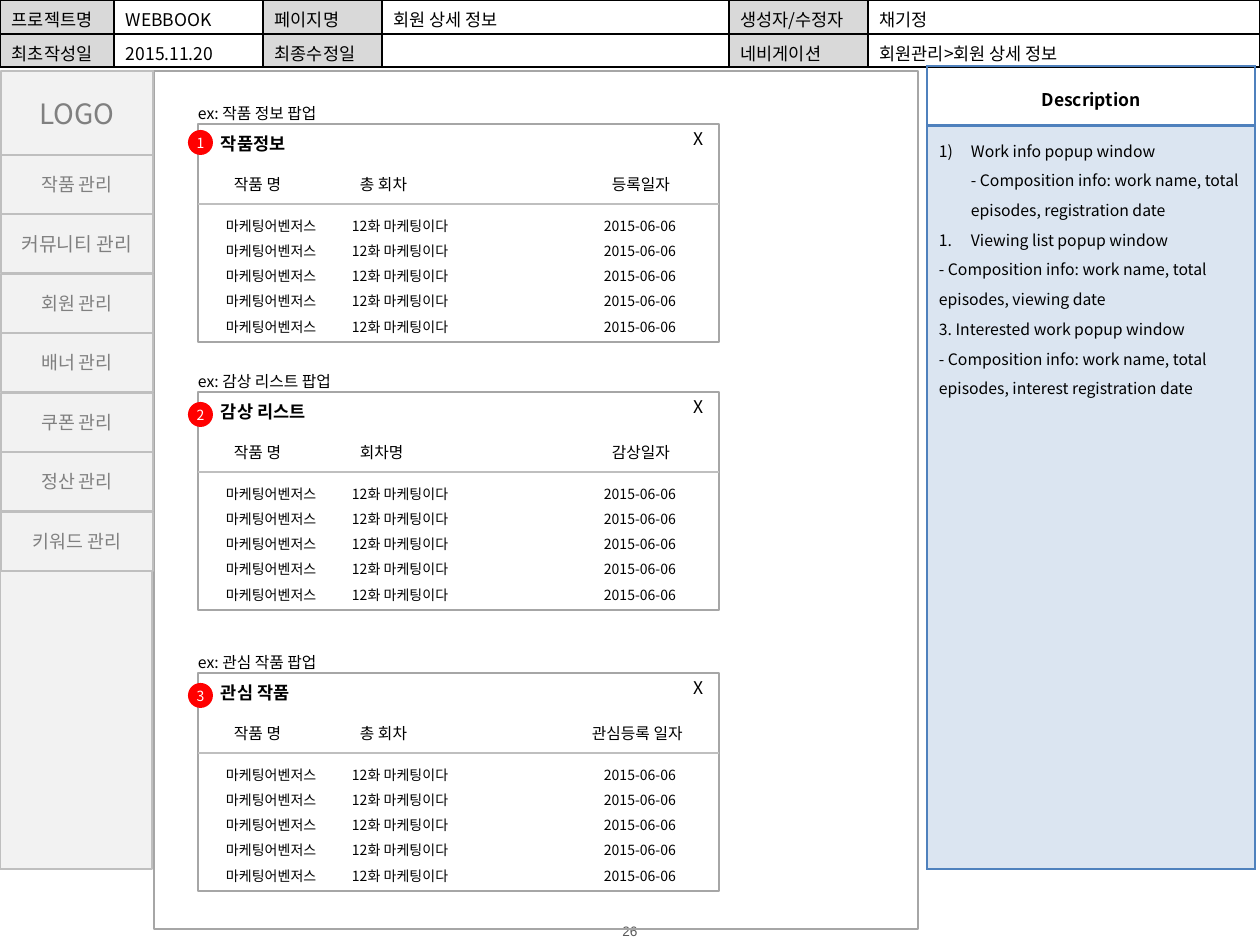
from typing import NamedTuple, Optional

from lxml.etree import SubElement
from pptx import Presentation
from pptx.dml.color import RGBColor
from pptx.enum.shapes import MSO_CONNECTOR, MSO_SHAPE
from pptx.enum.text import MSO_ANCHOR, PP_ALIGN
from pptx.oxml.ns import qn
from pptx.util import Emu, Pt

BLACK = RGBColor(0x00, 0x00, 0x00)
WHITE = RGBColor(0xFF, 0xFF, 0xFF)
RED = RGBColor(0xFF, 0x00, 0x00)
BLUE = RGBColor(0x4F, 0x81, 0xBD)
DARK = RGBColor(0x59, 0x59, 0x59)
GRAY = RGBColor(0x80, 0x80, 0x80)
EDGE = RGBColor(0xA6, 0xA6, 0xA6)
RULE = RGBColor(0xBF, 0xBF, 0xBF)
HEAD = RGBColor(0xD9, 0xD9, 0xD9)
PALE = RGBColor(0xF2, 0xF2, 0xF2)
FACE = "Noto Sans CJK KR"
SCALE = 914400 / 126


class Area(NamedTuple):
    left: int
    top: int
    width: int
    height: int


class Style(NamedTuple):
    size: float = 10
    color: RGBColor = BLACK
    bold: bool = False
    face: str = FACE
    align: PP_ALIGN = PP_ALIGN.LEFT
    space: float = 1.0
    tabs: tuple = ()


class Note(NamedTuple):
    text: str
    mark: str = ""


class Popup(NamedTuple):
    top: int
    badge: int
    title: str
    heads: str
    stop: int = 378


POPUPS = [
    Popup(124, 6, "작품정보", "작품 명\t총 회차\t등록일자"),
    Popup(392, 10, "감상 리스트", "작품 명\t회차명\t감상일자"),
    Popup(673, 10, "관심 작품", "작품 명\t총 회차\t관심등록 일자", 358),
]
LABELS = ["작품 정보", "감상 리스트", "관심 작품"]
ENTRY = "마케팅어벤저스\t12화 마케팅이다\t2015-06-06"
MENU = ["작품 관리", "커뮤니티 관리", "회원 관리", "배너 관리", "쿠폰 관리", "정산 관리", "키워드 관리"]
INFO = [
    ["프로젝트명", "WEBBOOK", "페이지명", "회원 상세 정보", "생성자/수정자", "채기정"],
    ["최초작성일", "2015.11.20", "최종수정일", "", "네비게이션", "회원관리>회원 상세 정보"],
]
NOTES = [
    Note("Work info popup window \v- Composition info: work name, total episodes, registration date", "arabicParenR"),
    Note("Viewing list popup window", "arabicPeriod"),
    Note("- Composition info: work name, total episodes, viewing date"),
    Note("3. Interested work popup window"),
    Note("- Composition info: work name, total episodes, interest registration date"),
]


def px(count: int) -> Emu:
    return Emu(round(count * SCALE))


def write(frame, notes: list[Note], style: Style) -> None:
    for i, note in enumerate(notes):
        para = frame.paragraphs[0] if i == 0 else frame.add_paragraph()
        para.text = note.text
        para.alignment = style.align
        para.line_spacing = style.space
        props = para._p.get_or_add_pPr()
        if note.mark:
            props.set("marL", str(px(32)))
            props.set("indent", str(-px(32)))
            SubElement(props, qn("a:buAutoNum"), type=note.mark)
        if style.tabs:
            stops = SubElement(props, qn("a:tabLst"))
            for stop in style.tabs:
                SubElement(stops, qn("a:tab"), pos=str(px(stop)), algn="l")
        if not note.text:
            SubElement(para._p, qn("a:endParaRPr"), sz=str(int(style.size * 100)))
        for run in para.runs:
            looks = {"size": Pt(style.size), "bold": style.bold, "name": style.face}
            for name, value in looks.items():
                setattr(run.font, name, value)
            run.font.color.rgb = style.color
            SubElement(run.font._rPr, qn("a:ea"), typeface=style.face)


def place(frame, side: int, top: int, anchor: MSO_ANCHOR) -> None:
    looks = {
        "margin_left": px(side), "margin_right": px(side),
        "margin_top": px(top), "margin_bottom": px(min(top, 3)),
        "vertical_anchor": anchor, "word_wrap": True,
    }
    for name, value in looks.items():
        setattr(frame, name, value)


def shape(slide, area: Area, fill: Optional[RGBColor] = None, line: Optional[RGBColor] = None,
          text: str = "", style: Style = Style(), kind=MSO_SHAPE.RECTANGLE, weight: float = 1) -> None:
    item = slide.shapes.add_shape(kind, *map(px, area))
    item.shadow.inherit = False
    for part, color in ((item.fill, fill), (item.line.fill, line)):
        if color is None:
            part.background()
        else:
            part.solid()
            part.fore_color.rgb = color
    if line is not None:
        item.line.width = Pt(weight)
    if text:
        place(item.text_frame, 0, 0, MSO_ANCHOR.MIDDLE)
        write(item.text_frame, [Note(text)], style)


def label(slide, area: Area, lines: list[str], style: Style, top: int = 3,
          side: int = 13, anchor: MSO_ANCHOR = MSO_ANCHOR.TOP) -> None:
    frame = slide.shapes.add_textbox(*map(px, area)).text_frame
    place(frame, side, top, anchor)
    write(frame, [Note(line) for line in lines], style)


def grid(slide, area: Area, cols: list[int], rows: list[int]):
    table = slide.shapes.add_table(len(rows), len(cols), *map(px, area)).table
    for name in ("first_row", "horz_banding"):
        setattr(table, name, False)
    for col, width in zip(table.columns, cols):
        col.width = px(width)
    for row, height in zip(table.rows, rows):
        row.height = px(height)
    return table


def cell(item, notes: list[Note], style: Style, line: RGBColor, fill: Optional[RGBColor] = None,
         anchor: MSO_ANCHOR = MSO_ANCHOR.TOP, wide: str = "") -> None:
    looks = {"margin_left": px(12), "margin_right": px(12), "margin_top": px(6),
             "margin_bottom": px(0), "vertical_anchor": anchor}
    for name, value in looks.items():
        setattr(item, name, value)
    props = item._tc.get_or_add_tcPr()
    for side in "LRTB":
        edge = SubElement(props, qn("a:ln" + side), w=str(Pt(2 if side == wide else 1)))
        SubElement(SubElement(edge, qn("a:solidFill")), qn("a:srgbClr"), val=str(line))
    if fill is None:
        item.fill.background()
    else:
        item.fill.solid()
        item.fill.fore_color.rgb = fill
    write(item.text_frame, notes, style)


def popup(slide, item: Popup, name: str) -> None:
    top = item.top
    shape(slide, Area(198, top - 22, 214, 22), WHITE, None, f"ex: {name} 팝업", Style(9))
    shape(slide, Area(198, top, 521, 218), WHITE, EDGE)
    label(slide, Area(208, top + 6, 247, 34), [item.title], Style(bold=True))
    label(slide, Area(681, top + 1, 37, 34), ["X"], Style())
    label(slide, Area(213, top + 78, 490, 140), [ENTRY] * 5,
          Style(8, space=Pt(14.4), tabs=(126, 378)), 7)
    label(slide, Area(221, top + 48, 490, 31), [item.heads], Style(9, tabs=(126, item.stop)))
    rule = slide.shapes.add_connector(MSO_CONNECTOR.STRAIGHT, px(198), px(top + 80), px(719), px(top + 80))
    rule.line.color.rgb = RULE
    rule.line.width = Pt(0.75)
    SubElement(rule._element.spPr, qn("a:effectLst"))


def main() -> None:
    deck = Presentation()
    deck.slide_width, deck.slide_height = px(1260), px(945)
    slide = deck.slides.add_slide(deck.slide_layouts[6])
    mid = PP_ALIGN.CENTER
    label(slide, Area(576, 922, 108, 18), ["26"], Style(7.8, DARK, face="Arial", align=mid),
          0, 0, MSO_ANCHOR.MIDDLE)

    table = grid(slide, Area(0, 0, 1260, 67), [114, 149, 119, 347, 139, 392], [34, 33])
    for r, row in enumerate(INFO):
        for c, text in enumerate(row):
            cell(table.cell(r, c), [Note(text)], Style(), BLACK, None if c % 2 else HEAD)

    table = grid(slide, Area(927, 66, 328, 803), [328], [60, 743])
    cell(table.cell(0, 0), [Note("Description")], Style(bold=True, align=mid), BLUE,
         None, MSO_ANCHOR.MIDDLE, "B")
    cell(table.cell(1, 0), NOTES, Style(9, space=1.3), BLUE, BLUE, wide="T")
    tint = table.cell(1, 0)._tc.tcPr.find(qn("a:solidFill"))[0]
    SubElement(tint, qn("a:alpha"), val="20000")

    shape(slide, Area(154, 71, 764, 858), None, EDGE, weight=0.75)
    shape(slide, Area(0, 512, 152, 357), PALE, RULE)
    shape(slide, Area(1, 71, 152, 84), PALE, RULE, "LOGO", Style(16, GRAY, align=mid))
    for item, name in zip(POPUPS, LABELS):
        popup(slide, item, name)
    for i, text in enumerate(MENU):
        size = 11 if i == 1 else 10.5
        shape(slide, Area(1, 155 + i * 119 // 2, 152, 59), PALE, RULE, text, Style(size, GRAY, align=mid))
    for i, item in enumerate(POPUPS, 1):
        shape(slide, Area(188, item.top + item.badge, 25, 25), RED, None, str(i),
              Style(8, WHITE, align=mid), MSO_SHAPE.OVAL)
    deck.save("out.pptx")


if __name__ == "__main__":
    main()
